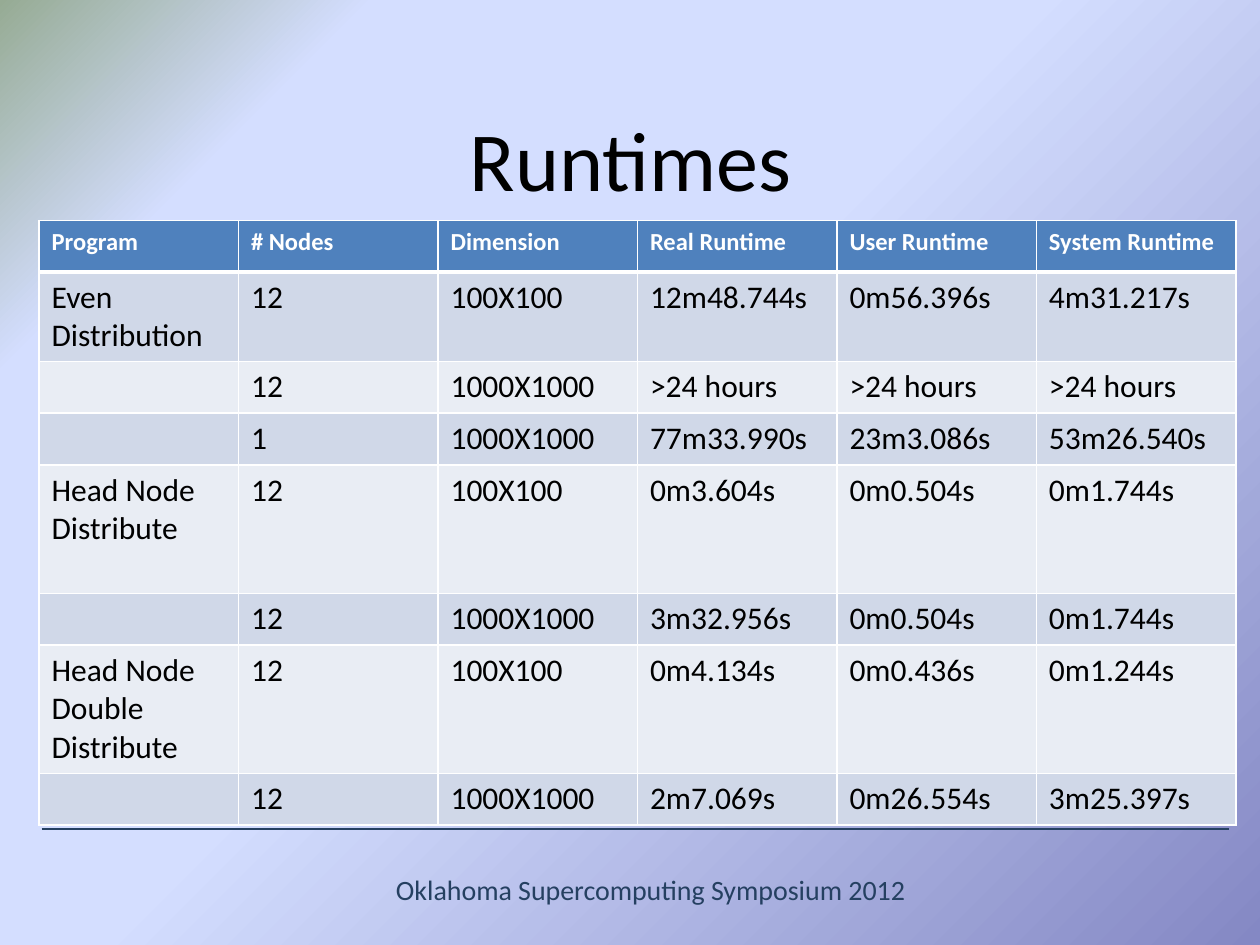
from lxml import etree
from pptx import Presentation
from pptx.dml.color import RGBColor
from pptx.enum.shapes import MSO_CONNECTOR
from pptx.enum.text import MSO_ANCHOR, PP_ALIGN
from pptx.oxml import parse_xml
from pptx.oxml.ns import nsdecls, qn
from pptx.util import Inches, Pt

FONT = "Calibri"
COLORS = {
    "text": "000000", "white": "FFFFFF", "navy": "254061",
    "header": "4F81BD", "band_dark": "D0D8E8", "band_light": "E9EDF4",
    "green": "96AB94", "sky": "D4DEFF", "violet": "8488C4",
}
BACKGROUND_STOPS = [(0, "green"), (17, "sky"), (47, "sky"), (100, "violet")]

HEADINGS = ["Program", "# Nodes", "Dimension",
            "Real Runtime", "User Runtime", "System Runtime"]
RUNS = [
    ["Even Distribution", "12", "100X100", "12m48.744s", "0m56.396s", "4m31.217s"],
    ["", "12", "1000X1000", ">24 hours", ">24 hours", ">24 hours"],
    ["", "1", "1000X1000", "77m33.990s", "23m3.086s", "53m26.540s"],
    ["Head Node Distribute", "12", "100X100", "0m3.604s", "0m0.504s", "0m1.744s"],
    ["", "12", "1000X1000", "3m32.956s", "0m0.504s", "0m1.744s"],
    ["Head Node Double Distribute", "12", "100X100", "0m4.134s", "0m0.436s", "0m1.244s"],
    ["", "12", "1000X1000", "2m7.069s", "0m26.554s", "3m25.397s"],
]
ROW_HEIGHTS = [0.41, 0.71, 0.41, 0.41, 1.02, 0.41, 1.02, 0.41]


def rgb(name):
    return RGBColor.from_string(COLORS[name])


def write(frame, text, size=18, color="text", bold=False, align=PP_ALIGN.LEFT):
    frame.word_wrap = True
    paragraph = frame.paragraphs[0]
    paragraph.alignment = align
    run = paragraph.add_run()
    run.text = text
    run.font.name = FONT
    run.font.size = Pt(size)
    run.font.bold = bold
    run.font.color.rgb = rgb(color)


def paint_background(slide):
    stops = "".join(
        f'<a:gs pos="{pos * 1000}"><a:srgbClr val="{COLORS[name]}"/></a:gs>'
        for pos, name in BACKGROUND_STOPS)
    gradient = parse_xml(
        f'<a:gradFill {nsdecls("a")} rotWithShape="1"><a:gsLst>{stops}</a:gsLst>'
        '<a:lin ang="2700000" scaled="0"/></a:gradFill>')
    fill = slide.background.fill
    fill.solid()
    properties = slide.element.find(".//" + qn("p:bgPr"))
    properties.replace(properties.find(qn("a:solidFill")), gradient)


def add_title(slide, left, top, width, height):
    title = slide.shapes.title
    title.left, title.top, title.width, title.height = left, top, width, height
    title.text_frame.vertical_anchor = MSO_ANCHOR.MIDDLE
    write(title.text_frame, "Runtimes", size=48, align=PP_ALIGN.CENTER)


def add_footer(slide, left, top, width, height):
    # Rule above the symposium name
    rule_top = top - Inches(0.3)
    rule = slide.shapes.add_connector(
        MSO_CONNECTOR.STRAIGHT, left, rule_top, left + width, rule_top)
    rule.line.color.rgb = rgb("navy")
    rule.line.width = Pt(1.25)
    etree.SubElement(rule.element.spPr, qn("a:effectLst"))

    symposium = slide.shapes.add_textbox(Inches(2.75), top, Inches(4.83), height)
    write(symposium.text_frame, "Oklahoma Supercomputing Symposium 2012",
          size=16, color="navy", align=PP_ALIGN.CENTER)


def style_cell(cell, fill, top=1, bottom=1):
    properties = cell._tc.get_or_add_tcPr()
    for side, points in (("L", 1), ("R", 1), ("T", top), ("B", bottom)):
        properties.append(parse_xml(
            f'<a:ln{side} {nsdecls("a")} w="{Pt(points)}"><a:solidFill>'
            f'<a:srgbClr val="{COLORS["white"]}"/></a:solidFill></a:ln{side}>'))
    cell.fill.solid()
    cell.fill.fore_color.rgb = rgb(fill)


def add_runtimes(slide, left, top, width, height):
    rows = [HEADINGS] + RUNS
    runtimes = slide.shapes.add_table(
        len(rows), len(HEADINGS), left, top, width, height).table
    for row, row_height in zip(runtimes.rows, ROW_HEIGHTS):
        row.height = Inches(row_height)

    for r, values in enumerate(rows):
        for c, value in enumerate(values):
            cell = runtimes.cell(r, c)
            if r == 0:
                style_cell(cell, "header", bottom=3)
                write(cell.text_frame, value, size=14, color="white", bold=True)
                continue
            style_cell(cell, "band_dark" if r % 2 else "band_light",
                       top=3 if r == 1 else 1)
            if value:
                write(cell.text_frame, value)


def main():
    prs = Presentation()
    prs.slide_width, prs.slide_height = Inches(10), Inches(7.5)
    slide = prs.slides.add_slide(prs.slide_layouts[5])
    paint_background(slide)
    add_footer(slide, Inches(0.33), Inches(6.88), Inches(9.42), Inches(0.37))
    add_title(slide, Inches(0.42), Inches(0.75), Inches(9.17), Inches(1))
    add_runtimes(slide, Inches(0.31), Inches(1.75), Inches(9.5),
                 Inches(sum(ROW_HEIGHTS)))
    prs.save("out.pptx")


if __name__ == "__main__":
    main()
